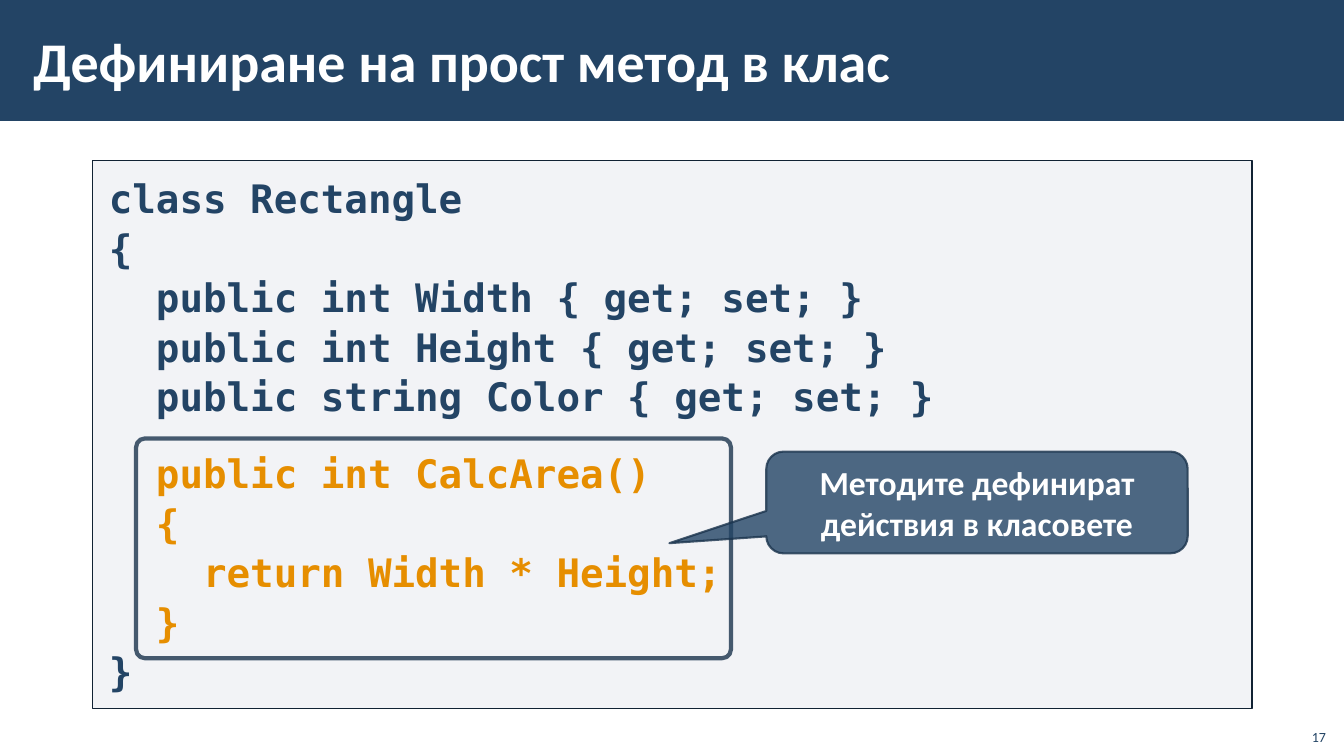
"""Build the slide on defining a simple method in a class."""
from dataclasses import dataclass

from pptx import Presentation
from pptx.dml.color import RGBColor as Rgb
from pptx.enum.shapes import MSO_SHAPE as Kind
from pptx.enum.text import MSO_ANCHOR as Anchor, MSO_AUTO_SIZE as Auto, PP_ALIGN as Align
from pptx.oxml.ns import qn
from pptx.util import Inches, Pt


@dataclass(frozen=True)
class Theme:
    navy: str = "234465"
    edge: str = "1A334C"
    rim: str = "112233"
    pane: str = "ADB4C3"
    gold: str = "E68E00"
    white: str = "FFFFFF"
    sans: str = "Calibri"
    mono: str = "DejaVu Sans Mono"
    title: int = 40
    code: int = 28
    note: int = 24
    page: int = 10


@dataclass(frozen=True)
class Box:
    kind: Kind
    at: tuple[float, float, float, float]
    fill: str = ""
    fade: int = 100
    line: str = ""
    width: float = 1
    clear: int = 100
    adj: tuple[float, ...] = ()


@dataclass(frozen=True)
class Style:
    font: str
    size: int
    color: str
    bold: bool = True


@dataclass(frozen=True)
class Line:
    text: str
    color: str
    before: int = 0


LOOK = Theme()
BAND = Box(Kind.RECTANGLE, (0, 0, 13.34, 1.2), LOOK.navy)
PANE = Box(Kind.RECTANGLE, (0.92, 1.59, 11.5, 5.44), LOOK.pane, 15, LOOK.rim)
FRAME = Box(Kind.ROUNDED_RECTANGLE, (1.35, 4.35, 5.9, 2.18),
            line=LOOK.edge, width=3, clear=80, adj=(0.04,))
NOTE = Box(Kind.ROUNDED_RECTANGULAR_CALLOUT, (7.6, 4.48, 4.18, 1.01),
           LOOK.navy, 80, LOOK.edge, 1.5, 80, (-0.73, 0.4, 0.17))
CODE = (
    Line("class Rectangle", LOOK.navy),
    Line("{", LOOK.navy),
    Line("  public int Width { get; set; }", LOOK.navy),
    Line("  public int Height { get; set; }", LOOK.navy),
    Line("  public string Color { get; set; }", LOOK.navy),
    Line("  public int CalcArea()", LOOK.gold, 20),
    Line("  {", LOOK.gold),
    Line("    return Width * Height;", LOOK.gold),
    Line("  }", LOOK.gold),
    Line("}", LOOK.navy),
)


def dim(shape, query: str, share: int) -> None:
    """Make the colours found by the query partly transparent."""
    if share < 100:
        for node in shape.element.spPr.xpath(query):
            node.makeelement(qn("a:alpha"))
            alpha = node.makeelement(qn("a:alpha"), {"val": str(share * 1000)})
            node.append(alpha)


def draw(slide, box: Box):
    """Draw one filled or outlined box."""
    shape = slide.shapes.add_shape(box.kind, *map(Inches, box.at))
    shape.shadow.inherit = False
    for i, value in enumerate(box.adj):
        shape.adjustments[i] = value
    if box.fill:
        shape.fill.solid()
        shape.fill.fore_color.rgb = Rgb.from_string(box.fill)
        dim(shape, "./a:solidFill/a:srgbClr", box.fade)
    else:
        shape.fill.background()
    if box.line:
        shape.line.color.rgb = Rgb.from_string(box.line)
        shape.line.width = Pt(box.width)
        dim(shape, "./a:ln/a:solidFill/a:srgbClr", box.clear)
    else:
        shape.line.fill.background()
    return shape


def setup(shape, anchor: Anchor, side: float, top: float):
    """Set the anchor and margins of a text frame and return it."""
    frame = shape.text_frame
    frame.word_wrap = True
    frame.auto_size = Auto.NONE
    frame.vertical_anchor = anchor
    frame.margin_left = frame.margin_right = Inches(side)
    frame.margin_top = frame.margin_bottom = Inches(top)
    return frame


def write(para, text: str, style: Style, align: Align = Align.LEFT) -> None:
    """Add one styled run to a paragraph."""
    para.alignment = align
    run = para.add_run()
    run.text = text
    run.font.name = style.font
    run.font.size = Pt(style.size)
    run.font.bold = style.bold
    run.font.color.rgb = Rgb.from_string(style.color)


def head(slide) -> None:
    """Fill the title and put its band behind it."""
    title = slide.shapes.title
    title.left, title.top, title.width, title.height = map(Inches, (0.21, 0.11, 10.63, 0.97))
    title.element.addprevious(draw(slide, BAND).element)
    frame = setup(title, Anchor.MIDDLE, 0.12, 0.04)
    write(frame.paragraphs[0], "Дефиниране на прост метод в клас",
          Style(LOOK.sans, LOOK.title, LOOK.white))


def listing(slide) -> None:
    """Draw the code pane with its lines."""
    frame = setup(draw(slide, PANE), Anchor.TOP, 0.16, 0.12)
    for i, line in enumerate(CODE):
        para = frame.add_paragraph() if i else frame.paragraphs[0]
        para.line_spacing = 1.05
        if line.before:
            para.space_before = Pt(line.before)
        write(para, line.text, Style(LOOK.mono, LOOK.code, line.color))


def main() -> None:
    """Build and save the slide."""
    deck = Presentation()
    deck.slide_width, deck.slide_height = Inches(13.33), Inches(7.5)
    slide = deck.slides.add_slide(deck.slide_layouts[5])
    head(slide)
    listing(slide)
    draw(slide, FRAME)
    note = setup(draw(slide, NOTE), Anchor.MIDDLE, 0.1, 0.05)
    write(note.paragraphs[0], "Методите дефинират действия в класовете",
          Style(LOOK.sans, LOOK.note, LOOK.white), Align.CENTER)
    page = slide.shapes.add_textbox(*map(Inches, (12.85, 7.12, 0.4, 0.32)))
    write(setup(page, Anchor.BOTTOM, 0.1, 0.05).paragraphs[0], "17",
          Style(LOOK.sans, LOOK.page, LOOK.navy, False), Align.RIGHT)
    deck.save("out.pptx")


if __name__ == "__main__":
    main()
